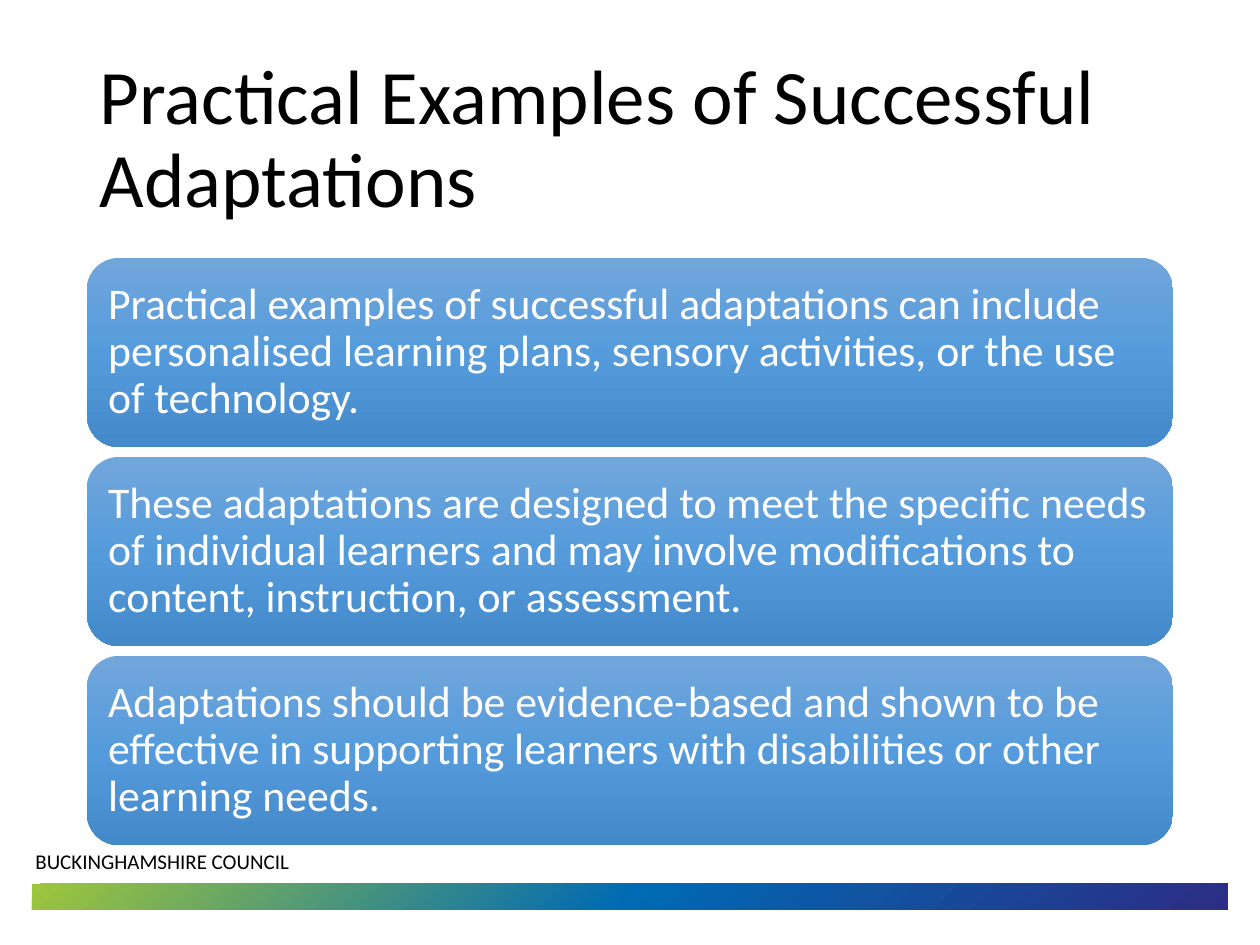
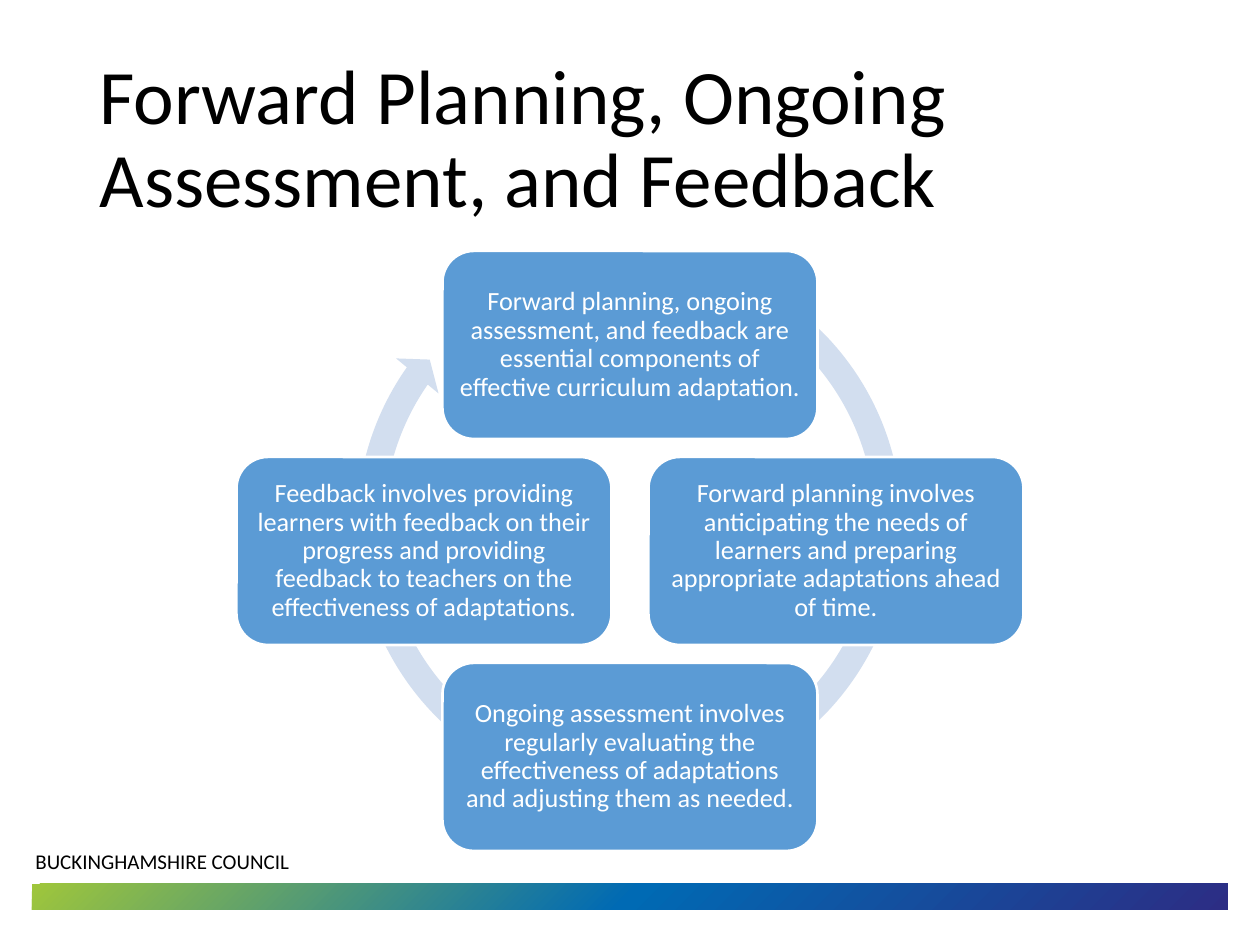
from lxml.etree import SubElement
from pptx import Presentation
from pptx.dml.color import RGBColor
from pptx.enum.shapes import MSO_SHAPE
from pptx.enum.text import MSO_ANCHOR, MSO_AUTO_SIZE, PP_ALIGN
from pptx.oxml.ns import qn
from pptx.util import Emu, Pt

PX = 914400 / 126
FONT = "Calibri"
COLORS = {
    "text": "000000",
    "white": "FFFFFF",
    "node": "5B9BD5",
    "ring": "D2DEEF",
}
BAND_STOPS = ["2C2D84", "006AB4", "9FC63B"]
CARD_STOPS = ["71A6DB", "559BDB", "448ACA"]

EXAMPLES = [
    "Practical examples of successful adaptations can include personalised "
    "learning plans, sensory activities, or the use of technology.",
    "These adaptations are designed to meet the specific needs of individual "
    "learners and may involve modifications to content, instruction, or assessment.",
    "Adaptations should be evidence-based and shown to be effective in "
    "supporting learners with disabilities or other learning needs.",
]
# Column and row step from the centre of the cycle, then the wording
CYCLE = [
    (0, -1, "Forward planning, ongoing assessment, and feedback are essential "
            "components of effective curriculum adaptation."),
    (1, 0, "Forward planning involves anticipating the needs of learners and "
           "preparing appropriate adaptations ahead of time."),
    (0, 1, "Ongoing assessment involves regularly evaluating the effectiveness "
           "of adaptations and adjusting them as needed."),
    (-1, 0, "Feedback involves providing learners with feedback on their progress "
            "and providing feedback to teachers on the effectiveness of adaptations."),
]


def px(n):
    return Emu(round(n * PX))


def rgb(name):
    return RGBColor.from_string(COLORS[name])


def set_text(sp, text, size, color="text", align=PP_ALIGN.LEFT,
             anchor=MSO_ANCHOR.MIDDLE, spacing=0.9, inset=None):
    tf = sp.text_frame
    tf.word_wrap = True
    tf.auto_size = MSO_AUTO_SIZE.NONE
    tf.vertical_anchor = anchor
    if inset is not None:
        tf.margin_left = tf.margin_right = px(inset)
        tf.margin_top = tf.margin_bottom = px(inset)
    p = tf.paragraphs[0]
    p.alignment = align
    p.line_spacing = spacing
    r = p.add_run()
    r.text = text
    r.font.name = FONT
    r.font.size = Pt(size)
    r.font.color.rgb = rgb(color)


def add_shape(s, kind, left, top, width, height, fill=None, line=None):
    sp = s.shapes.add_shape(kind, px(left), px(top), px(width), px(height))
    sp.shadow.inherit = False
    if fill:
        sp.fill.solid()
        sp.fill.fore_color.rgb = rgb(fill)
    if line:
        sp.line.color.rgb = rgb(line)
        sp.line.width = Pt(1.5)
    else:
        sp.line.fill.background()
    return sp


def set_gradient(sp, stops, corner=False):
    """Fill evenly spaced stops downwards, or outwards from one corner."""
    sp.fill.gradient()
    grad = sp._element.spPr.find(qn("a:gradFill"))
    for child in list(grad):
        grad.remove(child)
    gs_list = SubElement(grad, qn("a:gsLst"))
    for i, color in enumerate(stops):
        gs = SubElement(gs_list, qn("a:gs"), pos=str(i * 100000 // (len(stops) - 1)))
        SubElement(gs, qn("a:srgbClr"), val=color)
    if corner:
        path = SubElement(grad, qn("a:path"), path="circle")
        SubElement(path, qn("a:fillToRect"), l="100000", t="100000")
    else:
        SubElement(grad, qn("a:lin"), ang="5400000", scaled="0")


def add_footer(s):
    band = add_shape(s, MSO_SHAPE.RECTANGLE, 32, 884, 1196, 26)
    band._element.spPr.find(qn("a:xfrm")).set("flipH", "1")
    set_gradient(band, BAND_STOPS, corner=True)
    label = s.shapes.add_textbox(px(23), px(842), px(606), px(38))
    set_text(label, "BUCKINGHAMSHIRE COUNCIL", 12, anchor=MSO_ANCHOR.TOP, spacing=1.0)


def add_slide(prs, title):
    s = prs.slides.add_slide(prs.slide_layouts[5])
    add_footer(s)
    sp = s.shapes.title
    sp.left, sp.top, sp.width, sp.height = px(87), px(50), px(1086), px(183)
    set_text(sp, title, 44)
    return s


def add_cards(s, texts):
    for i, text in enumerate(texts):
        card = add_shape(s, MSO_SHAPE.ROUNDED_RECTANGLE, 87, 258 + 199 * i, 1086, 189)
        set_gradient(card, CARD_STOPS)
        set_text(card, text, 25, "white", inset=12)


def add_cycle(s, nodes):
    ring = add_shape(s, MSO_SHAPE.CIRCULAR_ARROW, 343, 238, 573, 573, "ring")
    for i, value in enumerate([0.047, 2.729, 128.999, 179.843, 0.048]):
        ring.adjustments[i] = value
    center_x, center_y, step, width, height = 630, 551, 206, 375, 188
    for col, row, text in nodes:
        node = add_shape(s, MSO_SHAPE.ROUNDED_RECTANGLE,
                         center_x + col * step - width / 2,
                         center_y + row * step - height / 2,
                         width, height, "node", "white")
        set_text(node, text, 15, "white", PP_ALIGN.CENTER, inset=7)


def main():
    prs = Presentation()
    prs.slide_width, prs.slide_height = px(1260), px(945)
    add_cards(add_slide(prs, "Practical Examples of Successful Adaptations"), EXAMPLES)
    add_cycle(add_slide(prs, "Forward Planning, Ongoing Assessment, and Feedback"), CYCLE)
    prs.save("out.pptx")


if __name__ == "__main__":
    main()
